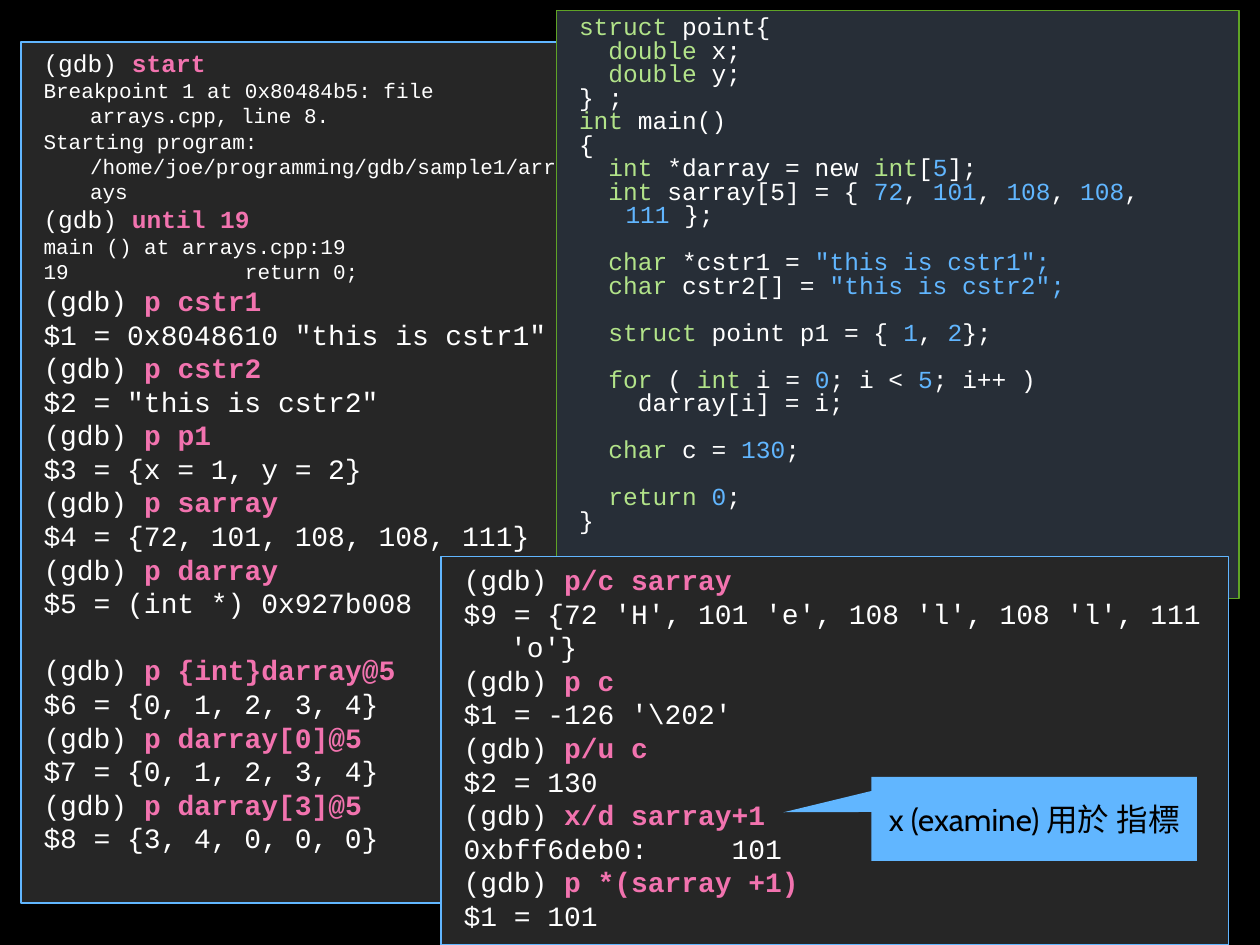
"""Build a slide of three overlapping code panels showing gdb print and examine commands."""
from pptx import Presentation
from pptx.dml.color import RGBColor
from pptx.enum.shapes import MSO_SHAPE
from pptx.enum.text import MSO_ANCHOR, PP_ALIGN
from pptx.util import Pt

RECTANGLE = MSO_SHAPE.RECTANGLE
CALLOUT = MSO_SHAPE.RECTANGULAR_CALLOUT
TOP, MIDDLE = MSO_ANCHOR.TOP, MSO_ANCHOR.MIDDLE
LEFT, CENTER = PP_ALIGN.LEFT, PP_ALIGN.CENTER

THEME = {
    "background": RGBColor.from_string("000000"),
    "terminal": RGBColor.from_string("262626"),
    "editor": RGBColor.from_string("272E37"),
    "blue": RGBColor.from_string("61B6FF"),
    "green": RGBColor.from_string("5FA326"),
    "text": RGBColor.from_string("FFFFFF"),
    "command": RGBColor.from_string("F273AF"),
    "keyword": RGBColor.from_string("B2E389"),
    "code_font": "Courier New",
    "label_font": "Cabin",
    "output_size": 12,
    "code_size": 14,
    "large_size": 16,
    "label_size": 18,
}
KEYWORDS = {"struct", "double", "int", "char", "for", "return "}
LINE_HEIGHT = 1.2


def add_box(slide, kind, box, fill, line=None):
    """Add a filled shape without shadow."""
    shape = slide.shapes.add_shape(kind, *(Pt(length) for length in box))
    shape.shadow.inherit = False
    shape.fill.solid()
    shape.fill.fore_color.rgb = fill
    if line is None:
        shape.line.fill.background()
    else:
        shape.line.color.rgb = line
        shape.line.width = Pt(0.75)
    shape.text_frame.word_wrap = True
    return shape


def write_code(text_frame, sections, line_spacing, highlight):
    """Write lines whose odd parts between bars are highlighted; an empty line becomes a gap."""
    text_frame.vertical_anchor = TOP
    paragraph = text_frame.paragraphs[0]
    gap = 0
    for size, lines in sections:
        for line in lines.strip("\n").split("\n"):
            if not line:
                gap = size * LINE_HEIGHT * line_spacing
                continue
            if paragraph.runs:
                paragraph = text_frame.add_paragraph()
            paragraph.alignment = LEFT
            paragraph.line_spacing = line_spacing
            paragraph.space_before = Pt(round(gap, 2))
            gap = 0
            properties = paragraph._p.get_or_add_pPr()
            properties.set("marL", str(Pt(32.4)))
            properties.set("indent", str(Pt(-26.6)))
            for position, part in enumerate(line.split("|")):
                if not part:
                    continue
                run = paragraph.add_run()
                run.text = part
                run.font.name = THEME["code_font"]
                run.font.size = Pt(size)
                run.font.color.rgb = THEME["text"]
                if position % 2:
                    color = "keyword" if part in KEYWORDS else highlight
                    run.font.color.rgb = THEME[color]
                    run.font.bold = highlight == "command"


SESSION = [
    (THEME["code_size"], "(gdb) |start"),
    (THEME["output_size"], """
Breakpoint 1 at 0x80484b5: file arrays.cpp, line 8.
Starting program: /home/joe/programming/gdb/sample1/arrays
"""),
    (THEME["code_size"], "(gdb) |until 19"),
    (THEME["output_size"], """
main () at arrays.cpp:19
19              return 0;
"""),
    (THEME["large_size"], """
(gdb) |p cstr1
$1 = 0x8048610 "this is cstr1"
(gdb) |p cstr2
$2 = "this is cstr2"
(gdb) |p p1
$3 = {x = 1, y = 2}
(gdb) |p sarray
$4 = {72, 101, 108, 108, 111}
(gdb) |p darray
$5 = (int *) 0x927b008

(gdb) |p {int}darray@5
$6 = {0, 1, 2, 3, 4}
(gdb) |p darray[0]@5
$7 = {0, 1, 2, 3, 4}
(gdb) |p darray[3]@5
$8 = {3, 4, 0, 0, 0}
"""),
]

SOURCE_CODE = [(THEME["code_size"], """
|struct| point{
  |double| x;
  |double| y;
} ;
|int| main()
{
  |int| *darray = new |int|[|5|];
  |int| sarray[5] = { |72|, |101|, |108|, |108|, |111| };

  |char| *cstr1 = |"this is cstr1";|
  |char| cstr2[] = |"this is cstr2";|

  |struct| point p1 = { |1|, |2|};

  |for| ( |int| i = |0|; i < |5|; i++ )
    darray[i] = i;

  |char| c = |130|;

  |return ||||0|;
}
""".replace("||||", "||"))]

FORMATS = [(THEME["large_size"], r"""
(gdb) |p/c sarray
$9 = {72 'H', 101 'e', 108 'l', 108 'l', 111 'o'}
(gdb) |p c
$1 = -126 '\202'
(gdb) |p/u c
$2 = 130
(gdb) |x/d sarray+1
0xbff6deb0:     101
(gdb) |p *(sarray +1)
$1 = 101
""")]

PANELS = [
    ((12, 24, 318, 492), "terminal", "blue", SESSION, 1.0, "command"),
    ((318, 6, 390, 336), "editor", "green", SOURCE_CODE, 0.8, "blue"),
    ((252, 318, 450, 222), "terminal", "blue", FORMATS, 1.0, "command"),
]

presentation = Presentation()
presentation.slide_width = Pt(720)
presentation.slide_height = Pt(540)
slide = presentation.slides.add_slide(presentation.slide_layouts[6])
slide.background.fill.solid()
slide.background.fill.fore_color.rgb = THEME["background"]

for box, fill, line, sections, line_spacing, highlight in PANELS:
    panel = add_box(slide, RECTANGLE, box, THEME[fill], THEME[line])
    write_code(panel.text_frame, sections, line_spacing, highlight)

callout = add_box(slide, CALLOUT, (498, 444, 186, 48), THEME["blue"])
callout.adjustments[0] = -0.77
callout.adjustments[1] = -0.08
callout.text_frame.vertical_anchor = MIDDLE
callout.text_frame.text = "x (examine) 用於 指標"
paragraph = callout.text_frame.paragraphs[0]
paragraph.alignment = CENTER
label = paragraph.runs[0]
label.font.name = THEME["label_font"]
label.font.size = Pt(THEME["label_size"])
label.font.color.rgb = THEME["background"]

presentation.save("out.pptx")
